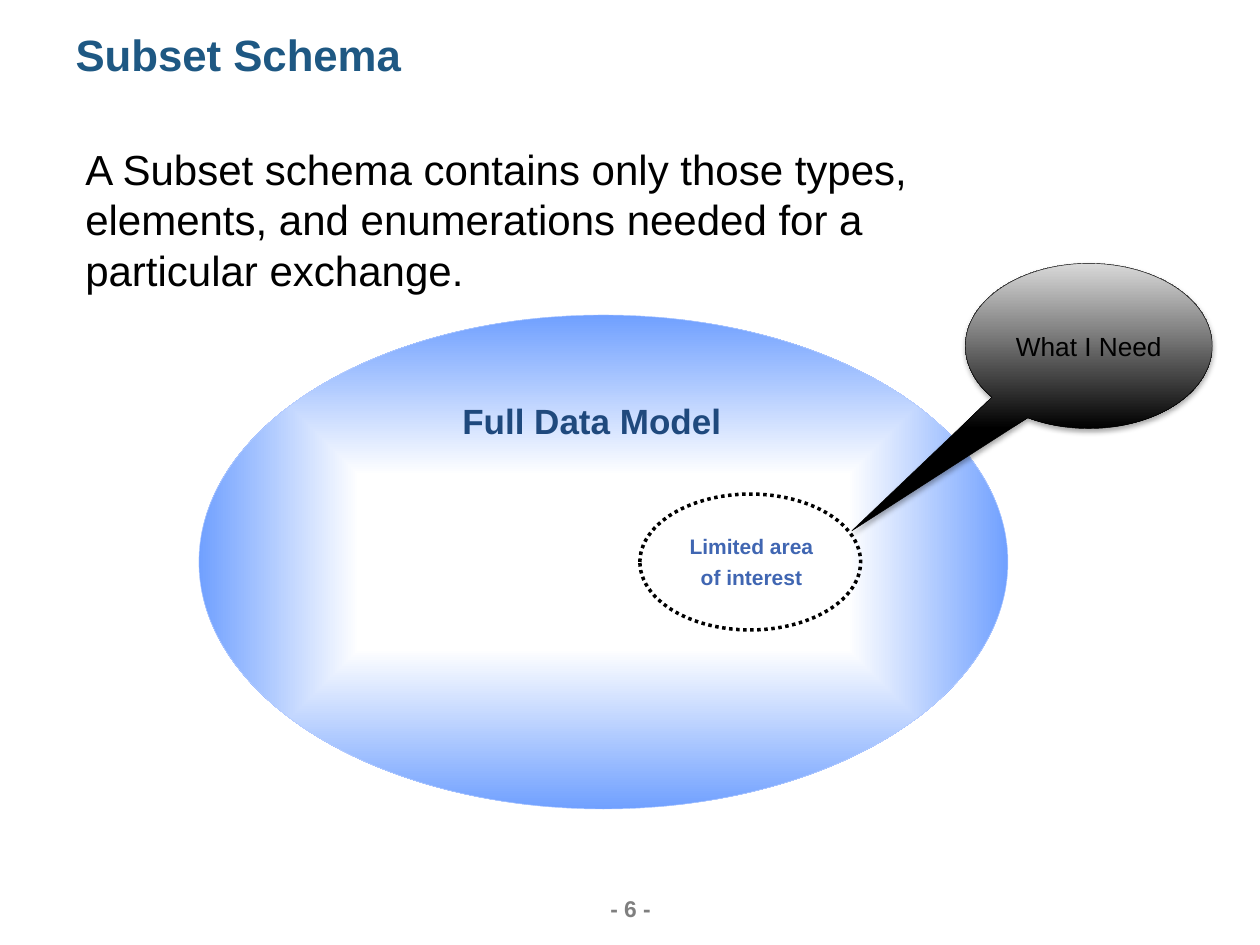
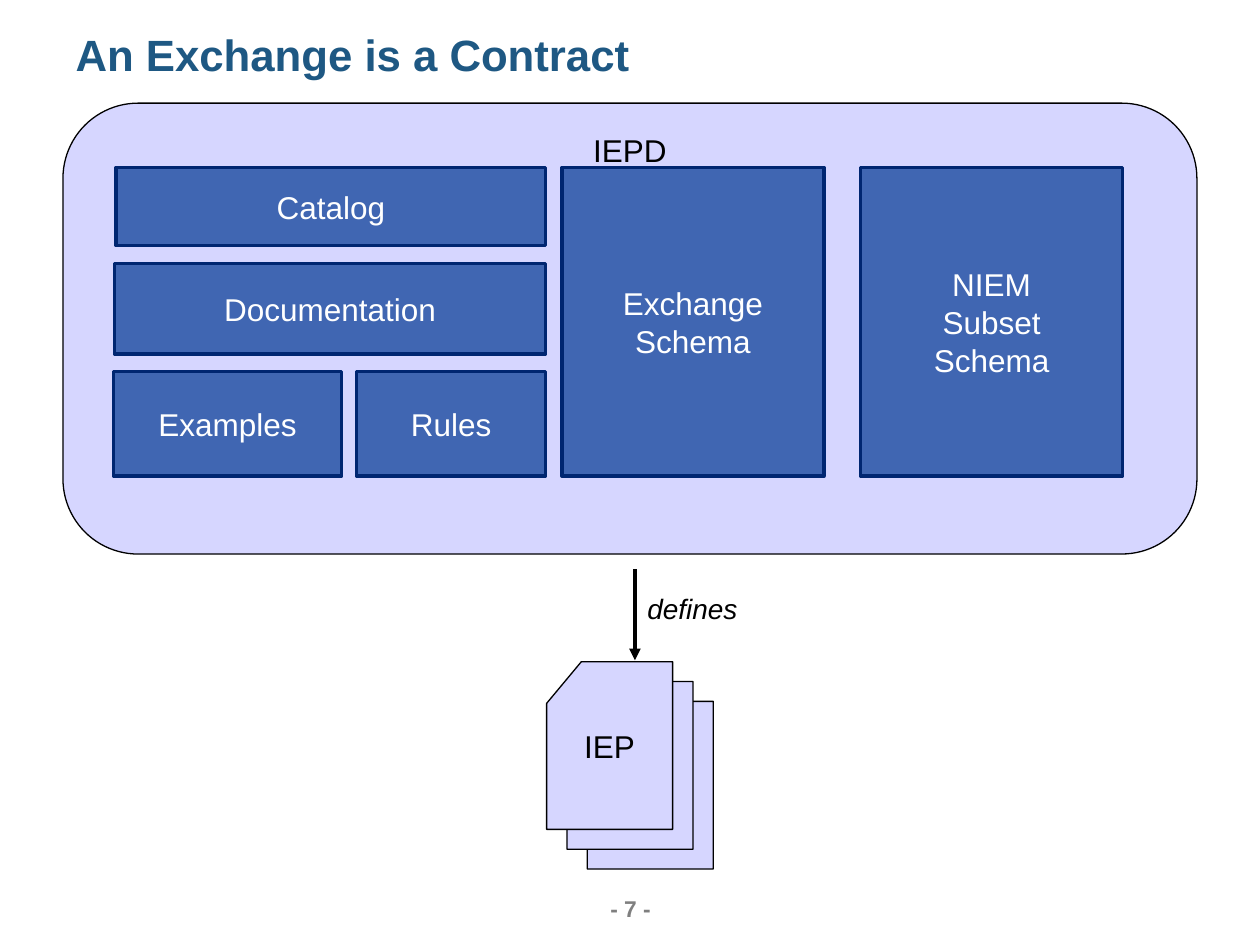
from dataclasses import dataclass

from pptx import Presentation, oxml
from pptx import util as u
from pptx.dml.color import RGBColor
from pptx.enum import dml, shapes, text
from pptx.oxml import ns

KIND = shapes.MSO_SHAPE
ALIGN = text.PP_ALIGN
ANCHOR = text.MSO_ANCHOR


@dataclass(frozen=True)
class Theme:
    """Hold the colours, font and type sizes of the deck."""
    font: str = "Arial"
    title: str = "1E5883"
    model: str = "1F497D"
    blue: str = "4066B2"
    navy: str = "002671"
    lilac: str = "D6D6FF"
    sky: str = "70A0FF"
    rim: str = "B8CFFF"
    silver: str = "D9D9D9"
    grey: str = "7F7F7F"
    black: str = "000000"
    white: str = "FFFFFF"
    head: int = 25
    lead: int = 24
    large: int = 20
    label: int = 18
    note: int = 16
    call: int = 15
    foot: int = 13
    small: int = 12


T = Theme()


def cms(*vals):
    """Turn centimetres into lengths."""
    return [u.Cm(round(v, 2)) for v in vals]


def write(shape, lines, size, color, bold=False, italic=False,
          align=ALIGN.CENTER, anchor=ANCHOR.MIDDLE, wrap=True, gap=0):
    """Write one paragraph per line, with breaks at newlines."""
    frame = shape.text_frame
    frame.word_wrap = wrap
    frame.vertical_anchor = anchor
    for i, line in enumerate(lines):
        para = frame.add_paragraph() if i else frame.paragraphs[0]
        para.alignment = align
        if i and gap:
            para.space_before = u.Pt(gap)
        for j, part in enumerate(line.split("\n")):
            if j:
                para.add_line_break()
            run = para.add_run()
            run.text = part
            font = run.font
            font.name, font.size = T.font, u.Pt(size)
            font.bold, font.italic = bold, italic
            font.color.rgb = RGBColor.from_string(color)
    return frame


def label(slide, box, lines, size, color, **style):
    """Add a text box."""
    style = {"align": ALIGN.LEFT, "anchor": ANCHOR.TOP, **style}
    return write(slide.shapes.add_textbox(*cms(*box)), lines, size, color, **style)


def paint(shape, fill, line, width):
    """Set fill and outline and drop the shadow."""
    shape.shadow.inherit = False
    if fill:
        shape.fill.solid()
        shape.fill.fore_color.rgb = RGBColor.from_string(fill)
    else:
        shape.fill.background()
    shape.line.color.rgb = RGBColor.from_string(line)
    shape.line.width = u.Pt(width)
    return shape


def draw(slide, kind, box, fill, line, width):
    """Add a painted preset shape."""
    return paint(slide.shapes.add_shape(kind, *cms(*box)), fill, line, width)


def blend(shape, stops, course):
    """Replace an empty fill by a gradient."""
    marks = "".join(f'<a:gs pos="{pos * 1000}"><a:srgbClr val="{color}"/></a:gs>'
                    for pos, color in stops)
    grad = oxml.parse_xml(f'<a:gradFill {ns.nsdecls("a")} rotWithShape="1">'
                          f'<a:gsLst>{marks}</a:gsLst>{course}</a:gradFill>')
    props = shape.element.spPr
    props.replace(props.find(ns.qn("a:noFill")), grad)


def shade(shape):
    """Add a soft shadow below a shape."""
    glow = oxml.parse_xml(
        f'<a:outerShdw {ns.nsdecls("a")} blurRad="{u.Pt(3.1)}" dist="{u.Pt(1.8)}" '
        f'dir="5400000" rotWithShape="0"><a:srgbClr val="{T.black}">'
        '<a:alpha val="35000"/></a:srgbClr></a:outerShdw>')
    shape.element.spPr.find(ns.qn("a:effectLst")).append(glow)


def page(deck, title, number):
    """Add a slide with its title and page number."""
    slide = deck.slides.add_slide(deck.slide_layouts[5])
    head = slide.shapes.title
    head.left, head.top, head.width, head.height = cms(1.27, 0.43, 22.86, 2.39)
    frame = write(head, [title], T.head, T.title, bold=True,
                  align=ALIGN.LEFT, anchor=ANCHOR.TOP)
    frame.auto_size = text.MSO_AUTO_SIZE.NONE
    foot = label(slide, (12.14, 18.03, 1.14, 0.56), [f"- {number} -"], T.foot, T.grey,
                 bold=True, align=ALIGN.CENTER, anchor=ANCHOR.BOTTOM, wrap=False)
    foot.margin_left = foot.margin_right = foot.margin_top = foot.margin_bottom = 0
    return slide


def model(slide, box):
    """Draw the full model with its area of interest."""
    x, y = box[:2]
    full = draw(slide, KIND.OVAL, box, None, T.rim, 0.25)
    blend(full, [(35, T.white), (100, T.sky)],
          '<a:path path="shape"><a:fillToRect l="50000" t="50000" r="50000" b="50000"/></a:path>')
    area = draw(slide, KIND.OVAL, (x + 8.89, y + 3.61, 4.45, 2.74), None, T.black, 2)
    area.line.dash_style = dml.MSO_LINE.ROUND_DOT
    label(slide, (x + 5.06, y + 1.57, 5.77, 1.12), ["Full Data Model"],
          T.large, T.model, bold=True, wrap=False)
    label(slide, (x + 9.58, y + 4.29, 3.12, 1.37), ["Limited area", "of interest"],
          T.small, T.blue, bold=True, align=ALIGN.CENTER, wrap=False, gap=3)


def callout(slide, box):
    """Draw the callout that points at the area of interest."""
    need = draw(slide, KIND.OVAL_CALLOUT, box, None, T.black, 0.25)
    need.adjustments[0], need.adjustments[1] = -0.96, 1.12
    blend(need, [(0, T.black), (100, T.silver)], '<a:lin ang="16200000" scaled="0"/>')
    shade(need)
    write(need, ["What I Need"], T.call, T.black)


def panel(slide, box):
    """Draw the package panel with its blocks."""
    x, y = box[:2]
    back = draw(slide, KIND.ROUNDED_RECTANGLE, box, T.lilac, T.black, 0.75)
    write(back, ["IEPD"], T.label, T.black, anchor=ANCHOR.TOP, wrap=False)
    top, low, end = 1.3, 7.52, 9.73
    tall, row = low - top, 5.41
    blocks = [
        (["Catalog"], 1.07, top, end - 1.07, 1.57),
        (["Documentation"], 1.04, 3.23, end - 1.04, 1.83),
        (["NIEM\nSubset\nSchema"], 16.08, top, 5.28, tall),
        (["Exchange", "Schema"], 10.06, top, 5.28, tall),
        (["Rules"], 5.92, row, end - 5.92, low - row),
        (["Examples"], 1.02, row, 4.6, low - row),
    ]
    for lines, left, drop, wide, high in blocks:
        block = draw(slide, KIND.RECTANGLE, (x + left, y + drop, wide, high),
                     T.blue, T.navy, 2)
        write(block, lines, T.label, T.white)


def arrow(slide, box):
    """Draw the arrow down the left side of a box and its label."""
    x, y, wide, high = box
    line = slide.shapes.add_connector(shapes.MSO_CONNECTOR.STRAIGHT,
                                      *cms(x, y, x, y + high))
    line.line.color.rgb = RGBColor.from_string(T.black)
    line.line.width = u.Pt(2.25)
    line.line._get_or_add_ln().append(
        oxml.parse_xml(f'<a:tailEnd {ns.nsdecls("a")} type="triangle"/>'))
    line.element.spPr.append(oxml.parse_xml(f'<a:effectLst {ns.nsdecls("a")}/>'))
    label(slide, (x, y + 0.33, wide, 0.94), ["defines"], T.note, T.black,
          italic=True, wrap=False)


def stack(slide, box):
    """Draw three sheets with a cut corner, the labelled one in front."""
    x, y, wide, high = box
    group = slide.shapes.add_group_shape()
    for n in (2, 1, 0):
        left, top = x + 0.41 * n, y + 0.4 * n
        points = [(left, top + 0.84), (left + 0.7, top), (left + wide, top),
                  (left + wide, top + high), (left, top + high)]
        first, *rest = [cms(*point) for point in points]
        path = group.shapes.build_freeform(*first)
        path.add_line_segments(rest, close=True)
        sheet = paint(path.convert_to_shape(), T.lilac, T.black, 0.75)
    write(sheet, ["IEP"], T.label, T.black)


def main():
    """Build both slides and save the deck."""
    deck = Presentation()
    deck.slide_width, deck.slide_height = cms(25.4, 19.05)

    subset = page(deck, "Subset Schema", 6)
    model(subset, (4.01, 6.35, 16.31, 9.96))
    callout(subset, (19.46, 5.31, 4.98, 3.33))
    label(subset, (1.47, 2.77, 17.98, 3.33),
          ["A Subset schema contains only those types, elements, and "
           "enumerations needed for a particular exchange."], T.lead, T.black)

    pact = page(deck, "An Exchange is a Contract", 7)
    panel(pact, (1.27, 2.08, 22.86, 9.09))
    stack(pact, (11.02, 13.34, 2.54, 3.38))
    arrow(pact, (12.8, 11.48, 2.34, 1.83))

    deck.save("out.pptx")


if __name__ == "__main__":
    main()
